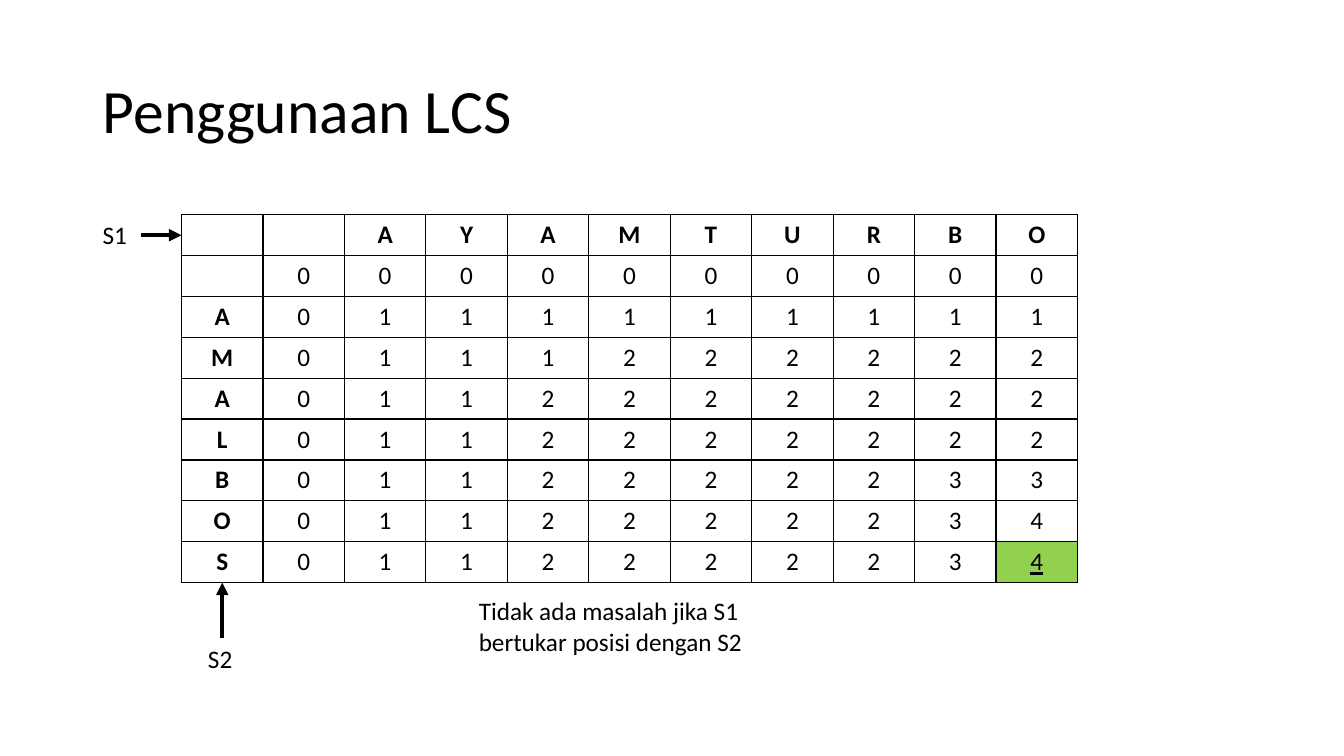
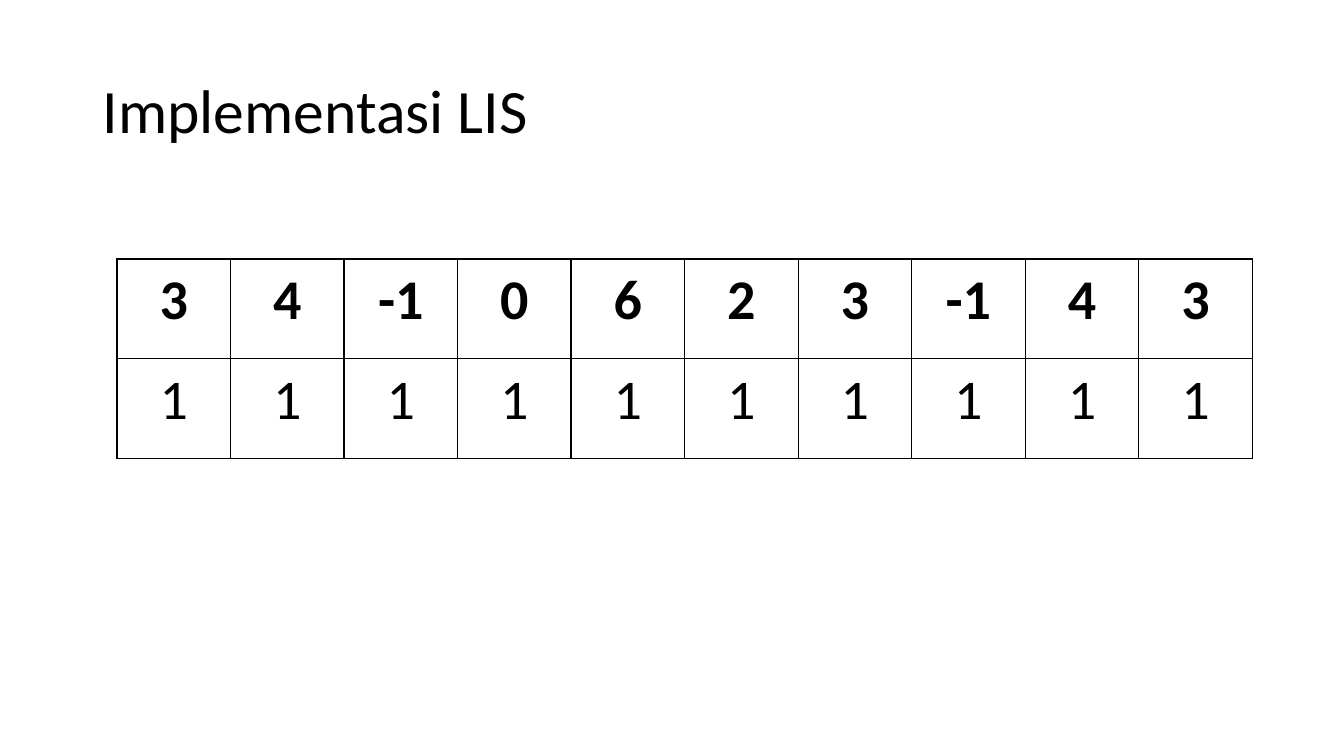
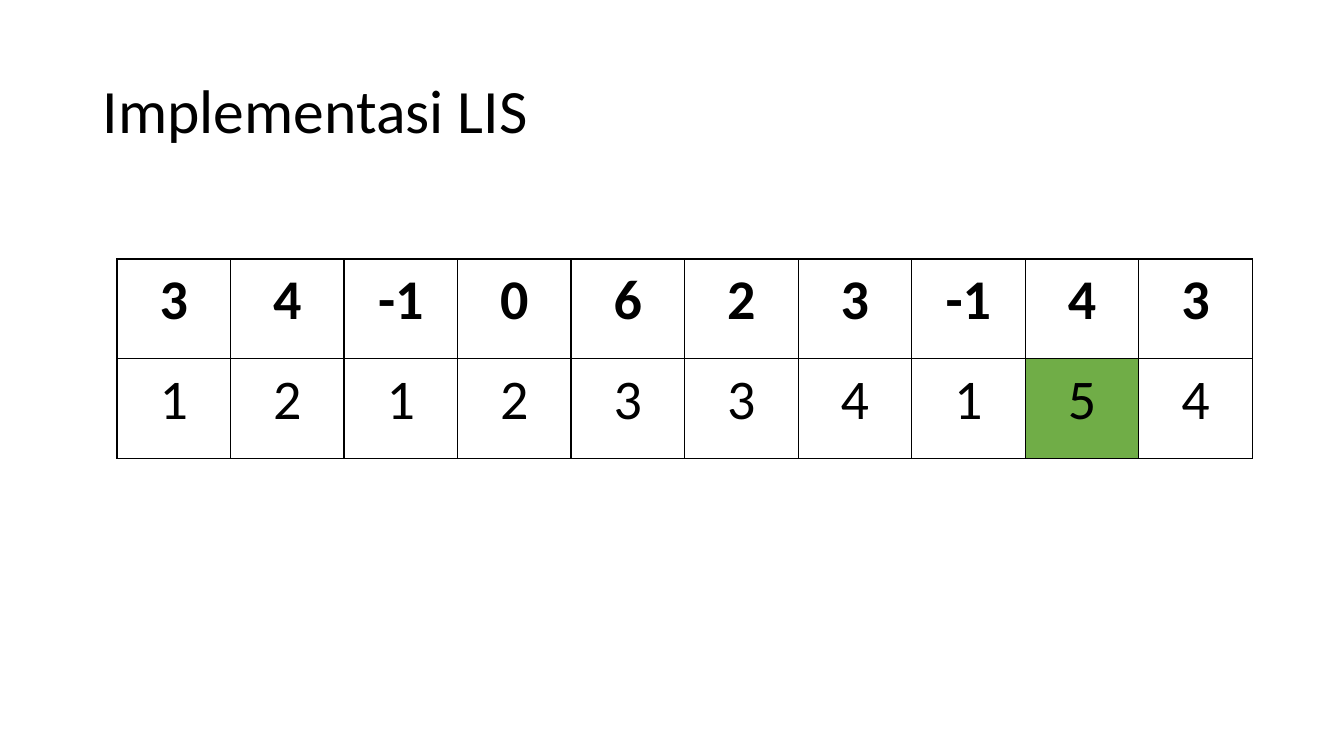
from lxml import etree
from pptx import Presentation
from pptx.dml.color import RGBColor
from pptx.enum import shapes, text
from pptx.oxml import ns
from pptx.util import Inches, Pt

FONT = "Calibri"
COLORS = {"ink": "000000", "paper": "FFFFFF", "lcs_result": "92D050", "lis_result": "70AD47"}
TITLE_ONLY = 5

LCS_ROWS = [
    ["", "", *"AYAMTURBO"],
    ["", *"0000000000"],
    *(list(row) for row in (
        "A0111111111",
        "M0111222222",
        "A0112222222",
        "L0112222222",
        "B0112222233",
        "O0112222234",
        "S0112222234",
    )),
]
LIS_SEQUENCE = ["3", "4", "-1", "0", "6", "2", "3", "-1", "4", "3"]
LIS_START = list("1111111111")
LIS_LENGTHS = list("1212334154")


def color(name):
    return RGBColor.from_string(COLORS[name])


def add_run(paragraph, words, size, bold=False, underline=None):
    run = paragraph.add_run()
    run.text = words
    run.font.name = FONT
    run.font.size = Pt(size)
    run.font.bold = bold
    run.font.underline = underline
    run.font.color.rgb = color("ink")


def add_titled_slide(prs, heading):
    slide = prs.slides.add_slide(prs.slide_layouts[TITLE_ONLY])
    title = slide.shapes.title
    title.left, title.top = Inches(0.92), Inches(0.4)
    title.width, title.height = Inches(11.5), Inches(1.45)
    title.text_frame.vertical_anchor = text.MSO_ANCHOR.MIDDLE
    paragraph = title.text_frame.paragraphs[0]
    paragraph.alignment = text.PP_ALIGN.LEFT
    paragraph.line_spacing = 0.9
    add_run(paragraph, heading, 44)
    return slide


def add_label(slide, words, left, top, width, height):
    frame = slide.shapes.add_textbox(left, top, width, height).text_frame
    frame.word_wrap = True
    add_run(frame.paragraphs[0], words, 18)


def add_arrow(slide, start, end):
    arrow = slide.shapes.add_connector(shapes.MSO_CONNECTOR.STRAIGHT, *start, *end)
    arrow.line.color.rgb = color("ink")
    arrow.line.width = Pt(3)
    etree.SubElement(arrow.line._get_or_add_ln(), ns.qn("a:tailEnd"), type="triangle")
    etree.SubElement(arrow._element.spPr, ns.qn("a:effectLst"))


def add_cell_borders(cell):
    """Draw a 1 pt line on each side; call before the cell is filled."""
    properties = cell._tc.get_or_add_tcPr()
    for side in ("a:lnL", "a:lnR", "a:lnT", "a:lnB"):
        border = etree.SubElement(properties, ns.qn(side), w=str(Pt(1)))
        fill = etree.SubElement(border, ns.qn("a:solidFill"))
        etree.SubElement(fill, ns.qn("a:srgbClr"), val=COLORS["ink"])


def add_grid(slide, rows, box, size, header_column=False, margins=None,
             result=None, result_color=None, underline_result=False):
    """Spread rows evenly over box; result is the (row, column) to highlight."""
    grid = slide.shapes.add_table(len(rows), len(rows[0]), *box).table
    for r, values in enumerate(rows):
        for c, value in enumerate(values):
            cell = grid.cell(r, c)
            is_result = (r, c) == result
            add_cell_borders(cell)
            cell.fill.solid()
            cell.fill.fore_color.rgb = color(result_color if is_result else "paper")
            if margins:
                cell.margin_left = cell.margin_right = margins[0]
                cell.margin_top = cell.margin_bottom = margins[1]
            if value:
                paragraph = cell.text_frame.paragraphs[0]
                paragraph.alignment = text.PP_ALIGN.CENTER
                bold = r == 0 or (header_column and c == 0)
                add_run(paragraph, value, size, bold,
                        True if is_result and underline_result else None)


def add_lcs_slide(prs):
    slide = add_titled_slide(prs, "Penggunaan LCS")
    left, top, width, height = box = [Inches(n) for n in (1.8, 2.13, 8.89, 3.65)]
    add_grid(slide, LCS_ROWS, box, 18, header_column=True, result=(8, 10),
             result_color="lcs_result", underline_result=True)

    label_width, label_height = Inches(0.48), Inches(0.4)
    s1_length, s2_length = Inches(0.4), Inches(0.55)
    bottom = top + height
    s1_y = top + height // len(LCS_ROWS) // 2
    s2_x = left + width // len(LCS_ROWS[0]) // 2
    add_label(slide, "S2", s2_x - label_width // 2, bottom + s2_length,
              label_width, label_height)
    add_label(slide, "S1", left - s1_length - label_width, top, label_width, label_height)
    add_arrow(slide, (left - s1_length, s1_y), (left, s1_y))
    add_arrow(slide, (s2_x, bottom + s2_length), (s2_x, bottom))
    add_label(slide, "Tidak ada masalah jika S1 bertukar posisi dengan S2",
              left + Inches(2.85), bottom + Inches(0.08), Inches(3.61), Inches(0.71))


def add_lis_slide(prs, lengths, result=None):
    slide = add_titled_slide(prs, "Implementasi LIS")
    box = [Inches(n) for n in (1.16, 2.57, 11.26, 1.98)]
    add_grid(slide, [LIS_SEQUENCE, lengths], box, 40,
             margins=(Inches(0.13), Inches(0.07)),
             result=result, result_color="lis_result")


def main():
    prs = Presentation()
    prs.slide_width, prs.slide_height = Inches(13.33), Inches(7.5)
    add_lcs_slide(prs)
    add_lis_slide(prs, LIS_START)
    add_lis_slide(prs, LIS_LENGTHS, result=(1, 8))
    prs.save("out.pptx")


if __name__ == "__main__":
    main()
